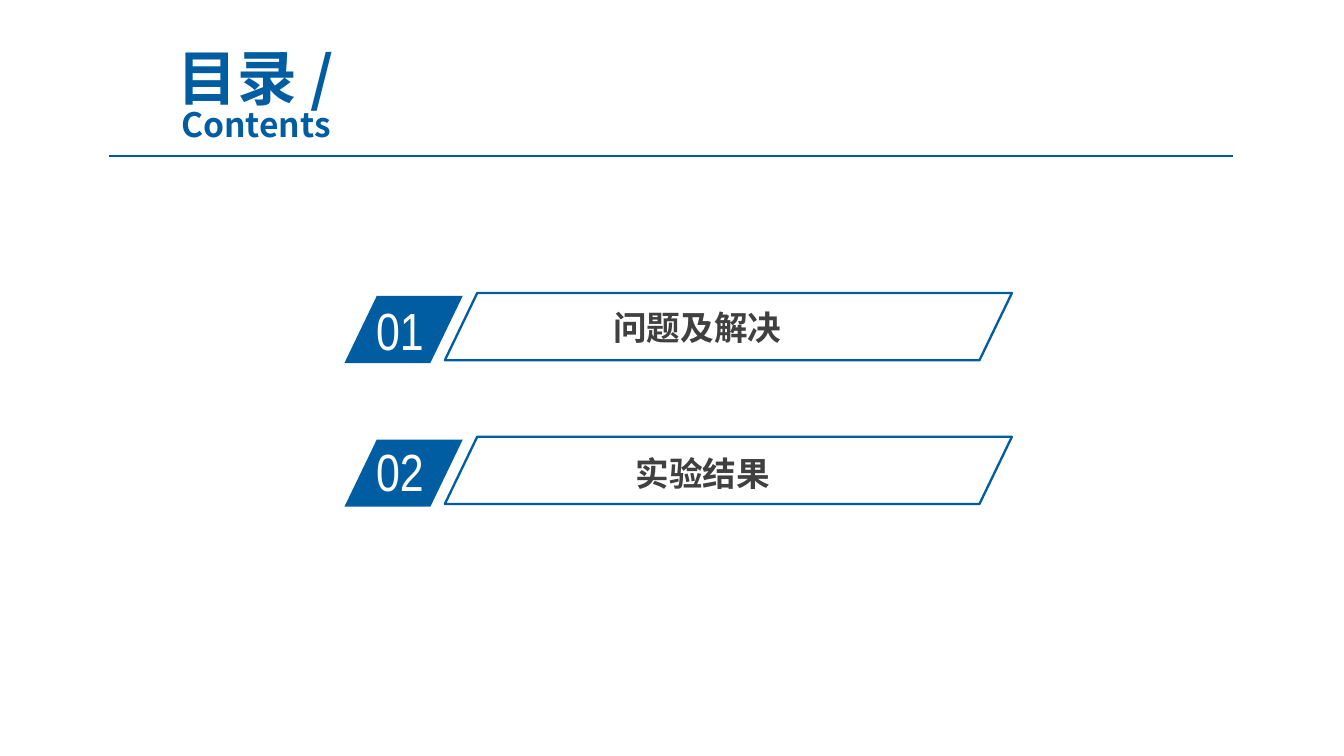
from dataclasses import dataclass

from lxml.etree import SubElement
from pptx import Presentation
from pptx.dml.color import RGBColor
from pptx.enum.shapes import MSO_CONNECTOR, MSO_SHAPE
from pptx.enum.text import MSO_ANCHOR, MSO_AUTO_SIZE, PP_ALIGN
from pptx.oxml.ns import qn
from pptx.util import Pt

COLORS = {"blue": "005DA2", "rule": "005B9E", "text": "404040", "white": "FFFFFF"}
CJK_FONT = "Noto Sans CJK SC"
NUMBER_FONT = "Arial Narrow"
FIRST_TOP, ROW_PITCH = 157, 77
SLANT = 0.482


@dataclass
class Box:
    left: float
    top: float
    width: float
    height: float

    def lengths(self) -> tuple:
        return Pt(self.left), Pt(self.top), Pt(self.width), Pt(self.height)


@dataclass
class Entry:
    number: str
    label: str
    number_top: float
    label_left: float
    label_top: float
    align: PP_ALIGN


ENTRIES = [
    Entry("01", "问题及解决", 156.2, 262.3, 161.3, PP_ALIGN.CENTER),
    Entry("02", "实验结果", 231.8, 335.5, 239.8, PP_ALIGN.LEFT),
]


def color(name: str) -> RGBColor:
    return RGBColor.from_string(COLORS[name])


def add_span(para, text: str, size: float, font: str, tint: str, bold: bool) -> None:
    span = para.add_run()
    span.text = text
    span.font.size = Pt(size)
    span.font.name = font
    span.font.bold = bold
    span.font.color.rgb = color(tint)
    east_asian = SubElement(span._r.get_or_add_rPr(), qn("a:ea"))
    east_asian.set("typeface", font)


def add_text_box(shapes, box: Box, align: PP_ALIGN, inset_x: float, inset_y: float):
    frame = shapes.add_textbox(*box.lengths()).text_frame
    frame.word_wrap = True
    frame.auto_size = MSO_AUTO_SIZE.SHAPE_TO_FIT_TEXT
    frame.margin_left = frame.margin_right = Pt(inset_x)
    frame.margin_top = frame.margin_bottom = Pt(inset_y)
    para = frame.paragraphs[0]
    para.alignment = align
    return para


def add_parallelogram(shapes, box: Box, filled: bool) -> None:
    shape = shapes.add_shape(MSO_SHAPE.PARALLELOGRAM, *box.lengths())
    shape.adjustments[0] = SLANT
    shape.shadow.inherit = False
    if filled:
        shape.fill.solid()
        shape.fill.fore_color.rgb = color("blue")
        shape.line.fill.background()
    else:
        shape.fill.background()
        shape.line.color.rgb = color("blue")
        shape.line.width = Pt(1.25)


def add_entry(page, entry: Entry, top: float) -> None:
    # Numbered badge
    badge = page.shapes.add_group_shape().shapes
    add_parallelogram(badge, Box(184.5, top + 1.5, 63.4, 36), filled=True)
    para = add_text_box(badge, Box(194.4, entry.number_top, 60.5, 35.3),
                        PP_ALIGN.LEFT, 7.2, 3.6)
    add_span(para, entry.number, 28, NUMBER_FONT, "white", False)

    # Outlined label
    panel = page.shapes.add_group_shape().shapes
    para = add_text_box(panel, Box(entry.label_left, entry.label_top, 222.5, 27.4),
                        entry.align, 5, 2.9)
    add_span(para, entry.label, 18, CJK_FONT, "text", True)
    add_parallelogram(panel, Box(238.3, top, 303.8, 36), filled=False)


def add_title(page) -> None:
    title = page.shapes.title
    title.left, title.top, title.width, title.height = Box(48.2, 33.8, 177.8, 38.9).lengths()
    frame = title.text_frame
    frame.word_wrap = True
    frame.auto_size = MSO_AUTO_SIZE.NONE
    frame.vertical_anchor = MSO_ANCHOR.MIDDLE
    para = frame.paragraphs[0]
    para.alignment = PP_ALIGN.CENTER
    para.line_spacing = 0.8
    para.space_before = Pt(6.4)
    add_span(para, "目录 /", 32, CJK_FONT, "blue", True)
    para.add_line_break()
    add_span(para, "Contents", 18, CJK_FONT, "blue", True)


def add_rule(page) -> None:
    rule = page.shapes.add_connector(MSO_CONNECTOR.STRAIGHT,
                                     Pt(58.3), Pt(83.5), Pt(660.3), Pt(83.5))
    rule.line.color.rgb = color("rule")
    rule.line.width = Pt(0.75)
    SubElement(rule._element.spPr, qn("a:effectLst"))


def main() -> None:
    deck = Presentation()
    deck.slide_width, deck.slide_height = Pt(720), Pt(405)
    page = deck.slides.add_slide(deck.slide_layouts[5])

    # Heading
    add_title(page)
    add_rule(page)

    # Contents entries
    for row, entry in enumerate(ENTRIES):
        add_entry(page, entry, FIRST_TOP + row * ROW_PITCH)

    deck.save("out.pptx")


if __name__ == "__main__":
    main()
